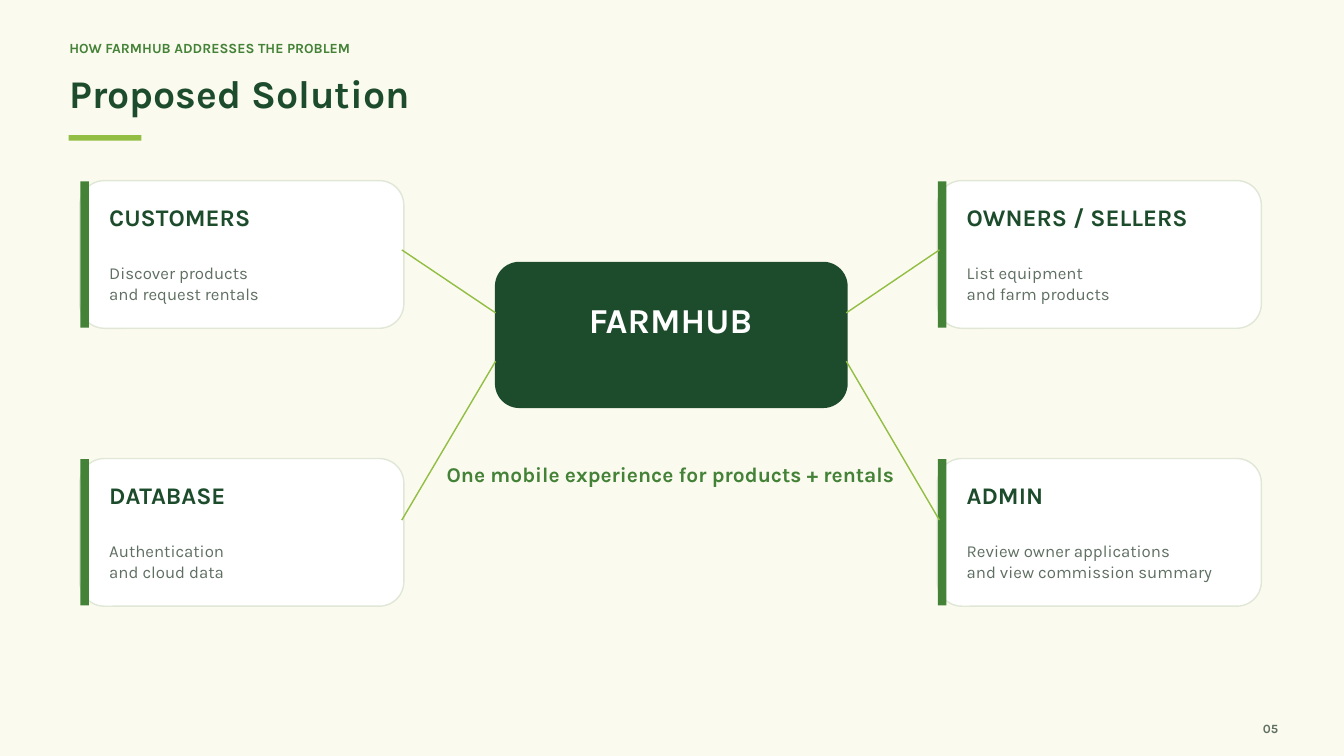
from lxml import etree
from pptx import Presentation
from pptx import util as u
from pptx.dml.color import RGBColor
from pptx.enum import shapes, text
from pptx.oxml.ns import qn

PX = 9525
FONT = "Karla"
CREAM, WHITE, BORDER = "FBFAEF", "FFFFFF", "E0E7D7"
DARK, GREEN, LIME, GRAY = "1C4C2B", "438237", "92BE43", "5F6F62"
LEFT, CENTER, RIGHT = text.PP_ALIGN.LEFT, text.PP_ALIGN.CENTER, text.PP_ALIGN.RIGHT

CARD_WIDTH, CARD_HEIGHT = 463, 211
CARD_LEFTS, CARD_TOPS = (114, 1339), (258, 655)
CARDS = [
    ("CUSTOMERS", "Discover products\nand request rentals"),
    ("OWNERS / SELLERS", "List equipment\nand farm products"),
    ("DATABASE", "Authentication\nand cloud data"),
    ("ADMIN", "Review owner applications\nand view commission summary"),
]
HUB_ENDS = (708, 1209)
CARD_ENDS = (574, 1342)
LINK_HEIGHTS = ((447, 357), (516, 743))


def px(*lengths):
    return [u.Emu(length * PX) for length in lengths]


def color(value):
    return RGBColor.from_string(value)


def add_text(slide, box, content, size, ink, bold=True, align=LEFT):
    text_frame = slide.shapes.add_textbox(*px(*box)).text_frame
    text_frame.word_wrap = True
    text_frame.margin_left = text_frame.margin_right = 0
    text_frame.margin_top = text_frame.margin_bottom = 0
    text_frame.text = content
    for paragraph in text_frame.paragraphs:
        paragraph.alignment = align
        paragraph.line_spacing = u.Pt(size * 1.2)
        for run in paragraph.runs:
            run.font.name = FONT
            run.font.size = u.Pt(size)
            run.font.bold = bold
            run.font.color.rgb = color(ink)


def add_block(slide, box, fill, radius=0, border=None):
    kind = shapes.MSO_SHAPE.ROUNDED_RECTANGLE if radius else shapes.MSO_SHAPE.RECTANGLE
    shape = slide.shapes.add_shape(kind, *px(*box))
    shape.shadow.inherit = False
    if radius:
        shape.adjustments[0] = radius / min(box[2:])
    shape.fill.solid()
    shape.fill.fore_color.rgb = color(fill)
    if border:
        shape.line.color.rgb = color(border)
        shape.line.width = u.Pt(1.5)
    else:
        shape.line.fill.background()


def add_card(slide, left, top, heading, body):
    add_block(slide, (left, top, CARD_WIDTH, CARD_HEIGHT), WHITE, 35, BORDER)
    add_block(slide, (left + 1, top + 1, 12, CARD_HEIGHT - 2), GREEN)
    add_text(slide, (left + 42, top + 32, 387, 51), heading, 25.5, DARK)
    add_text(slide, (left + 42, top + 118, 382, 70), body, 18, GRAY, bold=False)


def add_link(slide, start, end):
    connector = slide.shapes.add_connector(
        shapes.MSO_CONNECTOR.STRAIGHT, *px(*start, *end))
    connector.line.color.rgb = color(LIME)
    connector.line.width = u.Pt(1.5)
    etree.SubElement(connector._element.spPr, qn("a:effectLst"))


def add_header(slide):
    add_text(slide, (99, 56, 1691, 31), "HOW FARMHUB ADDRESSES THE PROBLEM", 15, GREEN)
    add_text(slide, (99, 99, 1719, 80), "Proposed Solution", 42, DARK)
    add_block(slide, (98, 193, 104, 8), LIME)
    add_text(slide, (1770, 1030, 56, 20), "05", 13.5, GRAY, align=RIGHT)


def add_hub(slide):
    add_block(slide, (707, 374, 504, 209), DARK, 35)
    add_text(slide, (747, 427, 422, 56), "FARMHUB", 37.5, WHITE, align=CENTER)


def main():
    presentation = Presentation()
    presentation.slide_width, presentation.slide_height = px(1920, 1080)
    slide = presentation.slides.add_slide(presentation.slide_layouts[6])
    slide.background.fill.solid()
    slide.background.fill.fore_color.rgb = color(CREAM)

    add_header(slide)
    add_hub(slide)
    for index, (heading, body) in enumerate(CARDS):
        row, column = divmod(index, 2)
        add_card(slide, CARD_LEFTS[column], CARD_TOPS[row], heading, body)
    for hub_y, card_y in LINK_HEIGHTS:
        for hub_x, card_x in zip(HUB_ENDS, CARD_ENDS):
            add_link(slide, *sorted([(hub_x, hub_y), (card_x, card_y)]))
    add_text(slide, (595, 660, 726, 56),
             "One mobile experience for products + rentals", 22.5, GREEN, align=CENTER)

    presentation.save("out.pptx")


if __name__ == "__main__":
    main()
